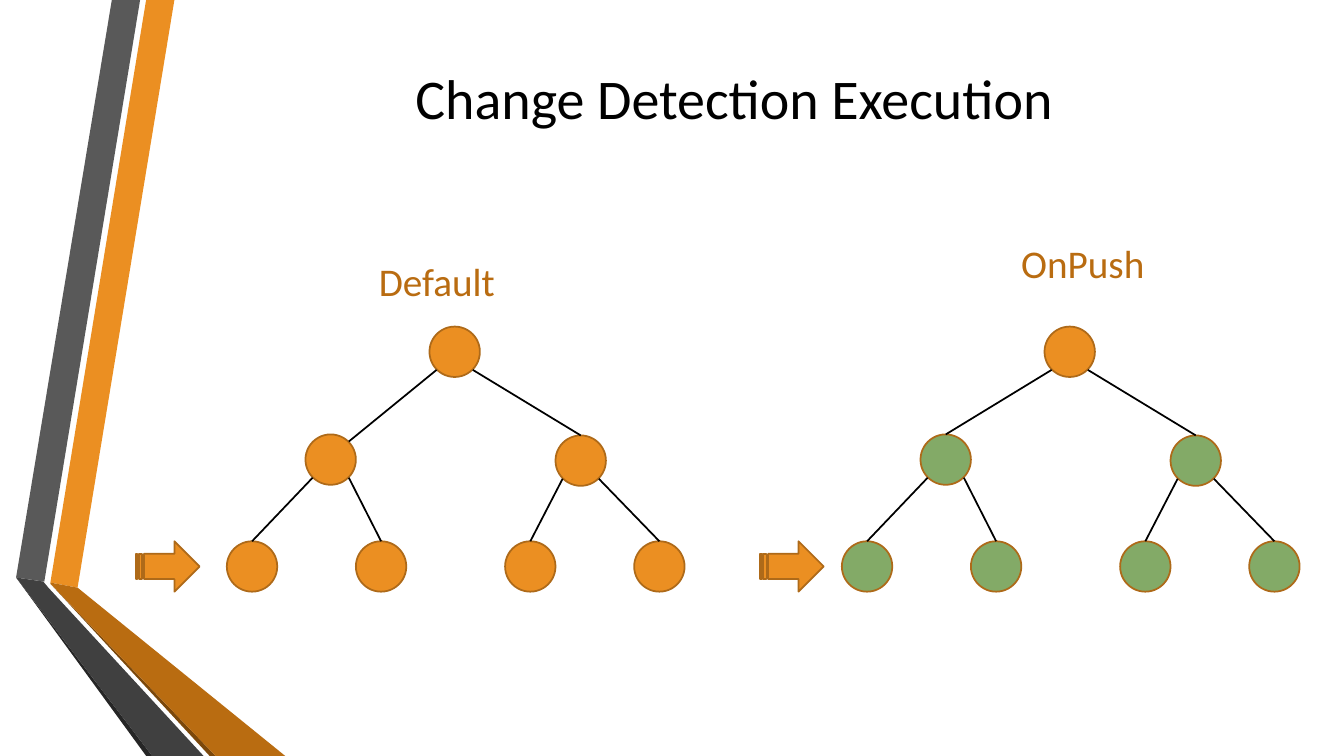
from pptx import Presentation
from pptx.dml.color import RGBColor
from pptx.enum.shapes import MSO_CONNECTOR, MSO_SHAPE
from pptx.enum.text import MSO_ANCHOR, PP_ALIGN
from pptx.oxml.ns import qn
from pptx.util import Pt
from lxml import etree

PX = 9144  # EMU per px, 100 px to the inch
CIRCLE = MSO_SHAPE.FLOWCHART_CONNECTOR
ARROW = MSO_SHAPE.STRIPED_RIGHT_ARROW
STRAIGHT = MSO_CONNECTOR.STRAIGHT
ORANGE, GREEN, OUTLINE = "EB8F22", "83AA67", "AE6A19"
BROWN, BLACK = "B96C11", "000000"
NODE = 50
DIAGONAL = 18  # from a node's centre to its rim at 45 degrees
TREE_STEP = 610


def color(value):
    return RGBColor.from_string(value)


def paint(shape, fill, outline=None):
    shape.shadow.inherit = False
    shape.fill.solid()
    shape.fill.fore_color.rgb = color(fill)
    if outline:
        shape.line.color.rgb = color(outline)
        shape.line.width = Pt(1.25)
    else:
        shape.line.fill.background()


deck = Presentation()
deck.slide_width, deck.slide_height = 1333 * PX, 750 * PX
page = deck.slides.add_slide(deck.slide_layouts[6])
shapes = page.shapes

# Ribbon along the left edge
ribbon = [
    (ORANGE, [(50, 578), (77, 583), (173, 0), (145, 0)]),
    ("595959", [(139, 0), (111, 0), (16, 573), (44, 577)]),
    ("262626", [(16, 573), (145, 750), (151, 750)]),
    ("7B480B", [(50, 579), (208, 750), (214, 750)]),
    (BROWN, [(50, 579), (214, 750), (283, 750), (77, 583), (50, 578)]),
    ("404040", [(202, 750), (48, 583), (43, 577), (16, 573), (151, 750)]),
]
for fill, points in ribbon:
    builder = shapes.build_freeform(*points[0], scale=PX)
    builder.add_line_segments(points[1:], close=True)
    paint(builder.convert_to_shape(), fill)

# Title and tree labels
labels = [
    ("Change Detection Execution", (180, 0, 1096, 192), 40, BLACK, MSO_ANCHOR.MIDDLE, PP_ALIGN.CENTER),
    ("Default", (366, 244, 171, 63), 28, BROWN, MSO_ANCHOR.BOTTOM, PP_ALIGN.LEFT),
    ("OnPush", (1003, 226, 158, 63), 28, BROWN, MSO_ANCHOR.BOTTOM, PP_ALIGN.LEFT),
]
for text, area, size, ink, anchor, align in labels:
    box = shapes.add_textbox(*(length * PX for length in area))
    frame = box.text_frame
    frame.word_wrap = True
    frame.vertical_anchor = anchor
    frame.text = text
    para = frame.paragraphs[0]
    para.alignment = align
    font = para.runs[0].font
    font.name, font.size = "Calibri", Pt(size)
    font.color.rgb = color(ink)

# Node centres in breadth-first order: the children of i are 2i + 1 and 2i + 2
centres = [(451, 349), (328, 456), (576, 457),
           (250, 562), (378, 562), (526, 562), (654, 562)]
trees = [("Default", ORANGE, 135), ("OnPush", GREEN, 754)]

for tree, (strategy, child_fill, arrow_left) in enumerate(trees):
    shift = tree * TREE_STEP
    nodes = []
    for index, (x, y) in enumerate(centres):
        node = shapes.add_shape(CIRCLE, (x + shift - NODE // 2) * PX, (y - NODE // 2) * PX,
                                NODE * PX, NODE * PX)
        paint(node, child_fill if index else ORANGE, OUTLINE)
        nodes.append(node)

    arrow = shapes.add_shape(ARROW, arrow_left * PX, 537 * PX, 63 * PX, NODE * PX)
    paint(arrow, ORANGE, OUTLINE)

    for child in range(1, len(centres)):
        parent_x, parent_y = centres[(child - 1) // 2]
        child_x, child_y = centres[child]
        side = 1 if child_x > parent_x else -1
        edge = shapes.add_connector(
            STRAIGHT,
            (parent_x + shift + side * DIAGONAL) * PX, (parent_y + DIAGONAL) * PX,
            (child_x + shift + DIAGONAL) * PX, (child_y - DIAGONAL) * PX)
        # The first Default edge meets its child at the upper right, the rest at the top
        if strategy != "Default" or child != 1:
            edge.end_connect(nodes[child], 0)
        edge.line.color.rgb = color(BLACK)
        edge.line.width = Pt(1.25)
        etree.SubElement(edge.element.spPr, qn("a:effectLst"))

deck.save("out.pptx")
